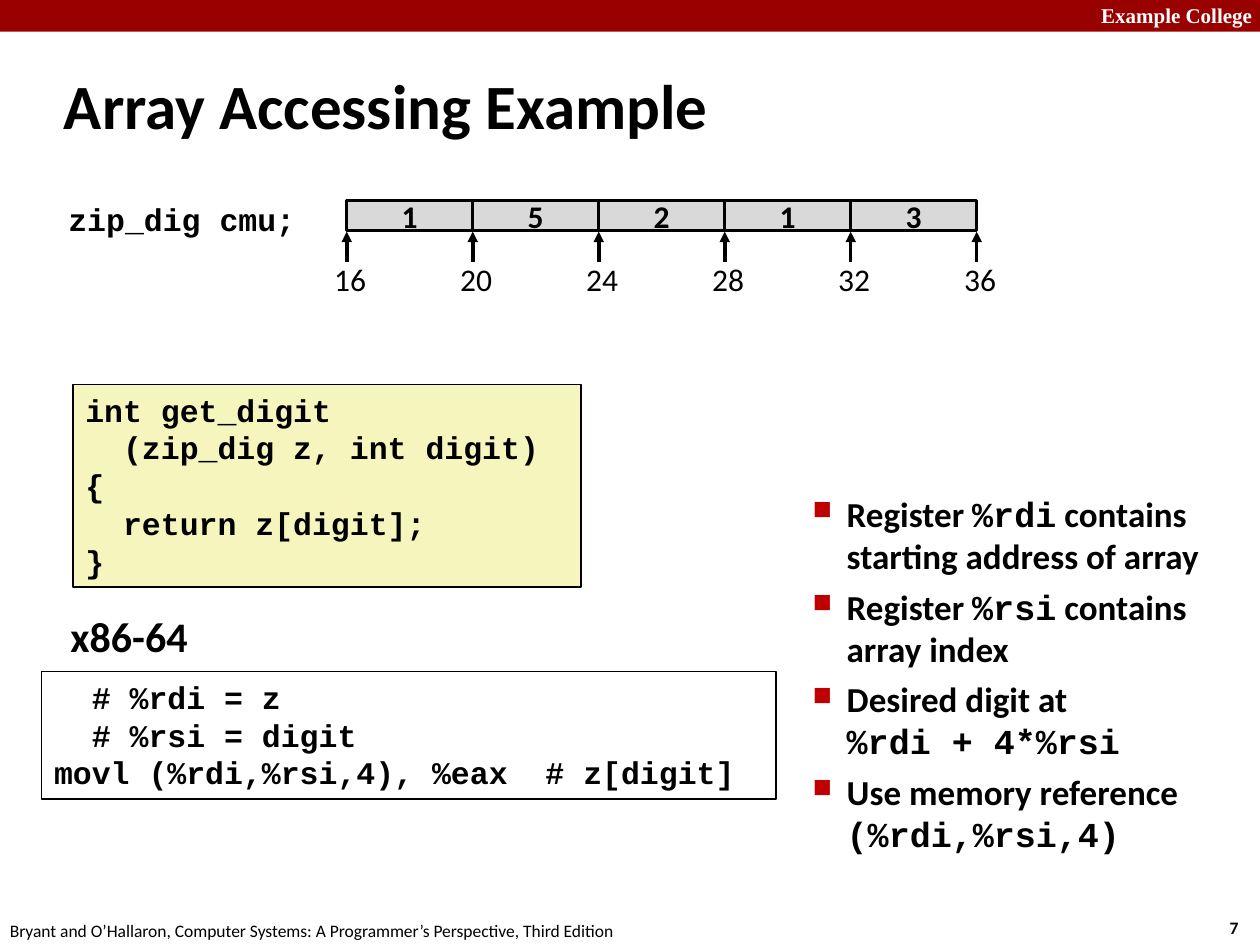
from typing import NamedTuple, Optional

from lxml import etree
from pptx import Presentation, util as u
from pptx.dml.color import RGBColor
from pptx.enum import shapes, text
from pptx.oxml import ns

BLACK = RGBColor(0x00, 0x00, 0x00)
WHITE = RGBColor(0xFF, 0xFF, 0xFF)
HEADER_RED = RGBColor(0x99, 0x00, 0x00)
BULLET_RED = RGBColor(0xC0, 0x00, 0x00)
CODE_YELLOW = RGBColor(0xF6, 0xF5, 0xBD)
CELL_GRAY = RGBColor(0xD9, 0xD9, 0xD9)

SANS, MONO, SERIF = "Calibri", "Courier New", "Times New Roman"
LEFT, CENTER, RIGHT = text.PP_ALIGN.LEFT, text.PP_ALIGN.CENTER, text.PP_ALIGN.RIGHT
TOP, MIDDLE = text.MSO_ANCHOR.TOP, text.MSO_ANCHOR.MIDDLE


class Area(NamedTuple):
    """Position and size in centimetres."""
    left: float
    top: float
    width: float
    height: float

    def lengths(self) -> list:
        return [u.Cm(value) for value in self]


class Style(NamedTuple):
    size: int
    font: str = SANS
    bold: bool = True
    color: RGBColor = BLACK
    align: text.PP_ALIGN = LEFT
    anchor: text.MSO_ANCHOR = TOP


class Label(NamedTuple):
    area: Area
    words: str
    style: Style


class Box(NamedTuple):
    area: Area
    lines: tuple
    style: Style
    fill: Optional[RGBColor]
    line_width: float


CODE = Style(18, MONO)
CELL = Style(18, align=CENTER, anchor=MIDDLE)
ADDRESS = Style(18, bold=False, align=CENTER)

LABELS = (
    Label(Area(21.95, -0.08, 3.63, 0.76), "Example College", Style(12, SERIF, color=WHITE)),
    Label(Area(24.54, 18.36, 0.94, 0.69), "7", Style(10)),
    Label(Area(-0.05, 18.42, 12.9, 0.69),
          "Bryant and O’Hallaron, Computer Systems: A Programmer’s Perspective, Third Edition",
          Style(10, bold=False)),
    Label(Area(1.04, 1.04, 21.08, 2.11), "Array Accessing Example", Style(36, anchor=MIDDLE)),
    Label(Area(1.17, 12.19, 2.97, 1.27), "x86-64", Style(24)),
    Label(Area(0.84, 3.91, 5.36, 1.02), "zip_dig cmu;", Style(18, MONO, align=RIGHT)),
)

CODE_BOXES = (
    Box(Area(1.47, 7.75, 10.24, 4.09),
        ("int get_digit", "  (zip_dig z, int digit)", "{", "  return z[digit];", "}"),
        CODE, CODE_YELLOW, 1),
    Box(Area(0.84, 13.54, 14.81, 2.57),
        ("  # %rdi = z", "  # %rsi = digit", "movl (%rdi,%rsi,4), %eax  # z[digit]"),
        CODE, None, 1),
)

# Each bullet is a list of (words, font); a newline is a line break.
NOTES_AREA = Area(15.7, 9.8, 9.53, 8.28)
NOTES = (
    (("Register ", SANS), ("%rdi", MONO), (" contains starting address of array", SANS)),
    (("Register ", SANS), ("%rsi", MONO), (" contains \narray index", SANS)),
    (("Desired digit at \n", SANS), ("%rdi + 4*%rsi", MONO)),
    (("Use memory reference ", SANS), ("(%rdi,%rsi,4)", MONO)),
)

DIGITS = (1, 5, 2, 1, 3)
FIRST_ADDRESS, INT_BYTES = 16, 4
ARRAY_LEFT, ARRAY_TOP = 6.99, 4.04
CELL_WIDTH, CELL_HEIGHT = 2.54, 0.61
ARROW_TOP, ARROW_BOTTOM = 4.67, 5.28
ADDRESS_TOP, ADDRESS_WIDTH, ADDRESS_SHIFT = 5.11, 2.74, 0.07


def write_lines(frame, lines: tuple, style: Style) -> None:
    frame.word_wrap = True
    frame.vertical_anchor = style.anchor
    for index, line in enumerate(lines):
        paragraph = frame.paragraphs[0] if index == 0 else frame.add_paragraph()
        paragraph.text = line
        paragraph.alignment = style.align
        font = paragraph.font
        font.name, font.size, font.bold = style.font, u.Pt(style.size), style.bold
        font.color.rgb = style.color


def add_label(slide, label: Label) -> None:
    shape = slide.shapes.add_textbox(*label.area.lengths())
    write_lines(shape.text_frame, (label.words,), label.style)


def add_box(slide, box: Box) -> None:
    shape = slide.shapes.add_shape(shapes.MSO_SHAPE.RECTANGLE, *box.area.lengths())
    shape.shadow.inherit = False
    if box.fill is None:
        shape.fill.background()
    else:
        shape.fill.solid()
        shape.fill.fore_color.rgb = box.fill
    if box.line_width:
        shape.line.color.rgb = BLACK
        shape.line.width = u.Pt(box.line_width)
    else:
        shape.line.fill.background()
    write_lines(shape.text_frame, box.lines, box.style)


def add_up_arrow(slide, x: float) -> None:
    arrow = slide.shapes.add_connector(
        shapes.MSO_CONNECTOR.STRAIGHT,
        u.Cm(x), u.Cm(ARROW_BOTTOM), u.Cm(x), u.Cm(ARROW_TOP))
    arrow.line.color.rgb = BLACK
    arrow.line.width = u.Pt(2)
    etree.SubElement(arrow.line._get_or_add_ln(), ns.qn("a:tailEnd"), type="triangle")
    etree.SubElement(arrow._element.spPr, ns.qn("a:effectLst"))


def add_bullet(paragraph) -> None:
    """Give the paragraph a hanging red square."""
    properties = paragraph._p.get_or_add_pPr()
    properties.set("marL", str(u.Cm(1.12)))
    properties.set("indent", str(-u.Cm(0.69)))
    color = etree.SubElement(properties, ns.qn("a:buClr"))
    etree.SubElement(color, ns.qn("a:srgbClr"), val=str(BULLET_RED))
    etree.SubElement(properties, ns.qn("a:buSzPct"), val="75000")
    etree.SubElement(properties, ns.qn("a:buChar"), char="■")


def add_notes(slide) -> None:
    frame = slide.shapes.add_textbox(*NOTES_AREA.lengths()).text_frame
    frame.word_wrap = True
    for index, note in enumerate(NOTES):
        paragraph = frame.paragraphs[0] if index == 0 else frame.add_paragraph()
        add_bullet(paragraph)
        paragraph.space_before = u.Pt(5)
        paragraph.font.size, paragraph.font.bold = u.Pt(20), True
        paragraph.font.color.rgb = BLACK
        for words, font_name in note:
            for line_index, line in enumerate(words.split("\n")):
                if line_index:
                    paragraph.add_line_break()
                if line:
                    run = paragraph.add_run()
                    run.text, run.font.name = line, font_name


def add_array(slide) -> None:
    for index, digit in enumerate(DIGITS):
        area = Area(ARRAY_LEFT + index * CELL_WIDTH, ARRAY_TOP, CELL_WIDTH, CELL_HEIGHT)
        add_box(slide, Box(area, (str(digit),), CELL, CELL_GRAY, 2))
    for index in range(len(DIGITS) + 1):
        x = ARRAY_LEFT + index * CELL_WIDTH
        add_up_arrow(slide, x)
        area = Area(x - ADDRESS_WIDTH / 2 + ADDRESS_SHIFT, ADDRESS_TOP, ADDRESS_WIDTH, 1.02)
        add_label(slide, Label(area, str(FIRST_ADDRESS + index * INT_BYTES), ADDRESS))


def main() -> None:
    presentation = Presentation()
    presentation.slide_width, presentation.slide_height = u.Cm(25.4), u.Cm(19.05)
    slide = presentation.slides.add_slide(presentation.slide_layouts[6])
    add_box(slide, Box(Area(0, 0, 25.4, 0.64), (), CODE, HEADER_RED, 0))
    for label in LABELS:
        add_label(slide, label)
    add_notes(slide)
    for box in CODE_BOXES:
        add_box(slide, box)
    add_array(slide)
    presentation.save("out.pptx")


if __name__ == "__main__":
    main()
